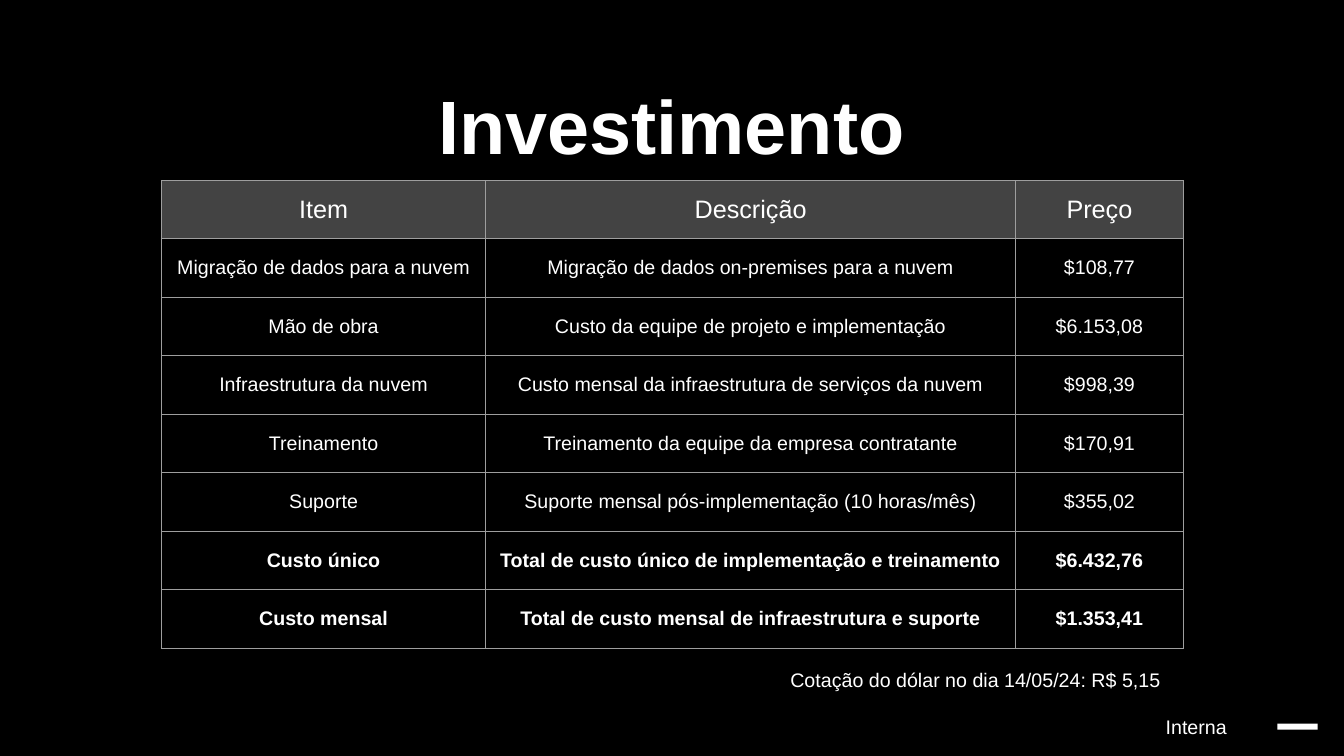
from lxml import etree
from pptx import Presentation
from pptx.dml.color import RGBColor
from pptx.enum.shapes import MSO_SHAPE
from pptx.enum.text import MSO_ANCHOR, MSO_AUTO_SIZE, PP_ALIGN
from pptx.oxml.ns import qn
from pptx.util import Emu, Pt

CENTER, LEFT = PP_ALIGN.CENTER, PP_ALIGN.LEFT
TOP, MIDDLE = MSO_ANCHOR.TOP, MSO_ANCHOR.MIDDLE
NO_AUTOFIT = MSO_AUTO_SIZE.NONE
RECTANGLE = MSO_SHAPE.RECTANGLE
TITLE_ONLY = 5

EMU_PER_PX = 9144
FONT = "Arial"
COLORS = {
    "background": "000000",
    "text": "FFFFFF",
    "header": "434343",
    "border": "9E9E9E",
}

TITLE = "Investimento"
ROWS = [
    ("Item", "Descrição", "Preço"),
    ("Migração de dados para a nuvem", "Migração de dados on-premises para a nuvem", "$108,77"),
    ("Mão de obra", "Custo da equipe de projeto e implementação", "$6.153,08"),
    ("Infraestrutura da nuvem", "Custo mensal da infraestrutura de serviços da nuvem", "$998,39"),
    ("Treinamento", "Treinamento da equipe da empresa contratante", "$170,91"),
    ("Suporte", "Suporte mensal pós-implementação (10 horas/mês)", "$355,02"),
    ("Custo único", "Total de custo único de implementação e treinamento", "$6.432,76"),
    ("Custo mensal", "Total de custo mensal de infraestrutura e suporte", "$1.353,41"),
]
TOTAL_ROWS = 2
EXCHANGE_RATE = "Cotação do dólar no dia 14/05/24: R$ 5,15"
CLASSIFICATION = "Interna"

SLIDE_SIZE = (1333, 750)
TITLE_BOX = (148, 68, 1036, 111)
TABLE_ORIGIN = (160, 179)
COLUMN_WIDTHS = (322, 525, 167)
ROW_HEIGHT = 58
EXCHANGE_RATE_BOX = (774, 653, 400, 43)
CLASSIFICATION_BOX = (1115, 707, 143, 25)
DASH_BOX = (1267, 718, 40, 6)
INSET = 10


def px(value):
    return Emu(value * EMU_PER_PX)


def box(values):
    return [px(value) for value in values]


def color(name):
    return RGBColor.from_string(COLORS[name])


def write(paragraph, text, size, bold=False, align=CENTER):
    paragraph.text = text
    paragraph.alignment = align
    font = paragraph.font
    font.name, font.size, font.bold = FONT, Pt(size), bold
    font.color.rgb = color("text")


def format_frame(frame, vertical_inset=INSET):
    frame.word_wrap = True
    frame.auto_size = NO_AUTOFIT
    frame.vertical_anchor = TOP
    frame.margin_left = frame.margin_right = px(INSET)
    frame.margin_top = frame.margin_bottom = px(vertical_inset)


def add_text(slide, position, text, size, align, vertical_inset=INSET):
    frame = slide.shapes.add_textbox(*box(position)).text_frame
    format_frame(frame, vertical_inset)
    write(frame.paragraphs[0], text, size, align=align)
    return frame.paragraphs[0]


def add_borders(cell):
    properties = cell._tc.get_or_add_tcPr()
    for side in ("a:lnL", "a:lnR", "a:lnT", "a:lnB"):
        line = etree.SubElement(properties, qn(side), w=str(Pt(0.75)))
        fill = etree.SubElement(line, qn("a:solidFill"))
        etree.SubElement(fill, qn("a:srgbClr"), val=COLORS["border"])


def add_cost_table(slide):
    size = (sum(COLUMN_WIDTHS), ROW_HEIGHT * len(ROWS))
    table = slide.shapes.add_table(
        len(ROWS), len(COLUMN_WIDTHS), *box(TABLE_ORIGIN + size)
    ).table
    table.first_row = table.horz_banding = False
    for column, width in zip(table.columns, COLUMN_WIDTHS):
        column.width = px(width)
    for index, texts in enumerate(ROWS):
        is_header = index == 0
        is_total = index >= len(ROWS) - TOTAL_ROWS
        for cell, text in zip(table.rows[index].cells, texts):
            cell.vertical_anchor = MIDDLE
            cell.margin_left = cell.margin_right = px(INSET)
            cell.margin_top = cell.margin_bottom = px(INSET)
            write(cell.text_frame.paragraphs[0], text, 18 if is_header else 14, is_total)
            add_borders(cell)
            if is_header:
                cell.fill.solid()
                cell.fill.fore_color.rgb = color("header")
            else:
                cell.fill.background()


def main():
    presentation = Presentation()
    presentation.slide_width, presentation.slide_height = box(SLIDE_SIZE)
    slide = presentation.slides.add_slide(presentation.slide_layouts[TITLE_ONLY])
    slide.background.fill.solid()
    slide.background.fill.fore_color.rgb = color("background")

    dash = slide.shapes.add_shape(RECTANGLE, *box(DASH_BOX))
    dash.shadow.inherit = False
    dash.fill.solid()
    dash.fill.fore_color.rgb = color("text")
    dash.line.fill.background()

    title = slide.shapes.title
    title.left, title.top, title.width, title.height = box(TITLE_BOX)
    format_frame(title.text_frame)
    write(title.text_frame.paragraphs[0], TITLE, 54, bold=True)

    add_cost_table(slide)
    classification = add_text(slide, CLASSIFICATION_BOX, CLASSIFICATION, 14, CENTER, 5)
    classification.line_spacing = 0.9
    add_text(slide, EXCHANGE_RATE_BOX, EXCHANGE_RATE, 14, LEFT)
    presentation.save("out.pptx")


if __name__ == "__main__":
    main()
